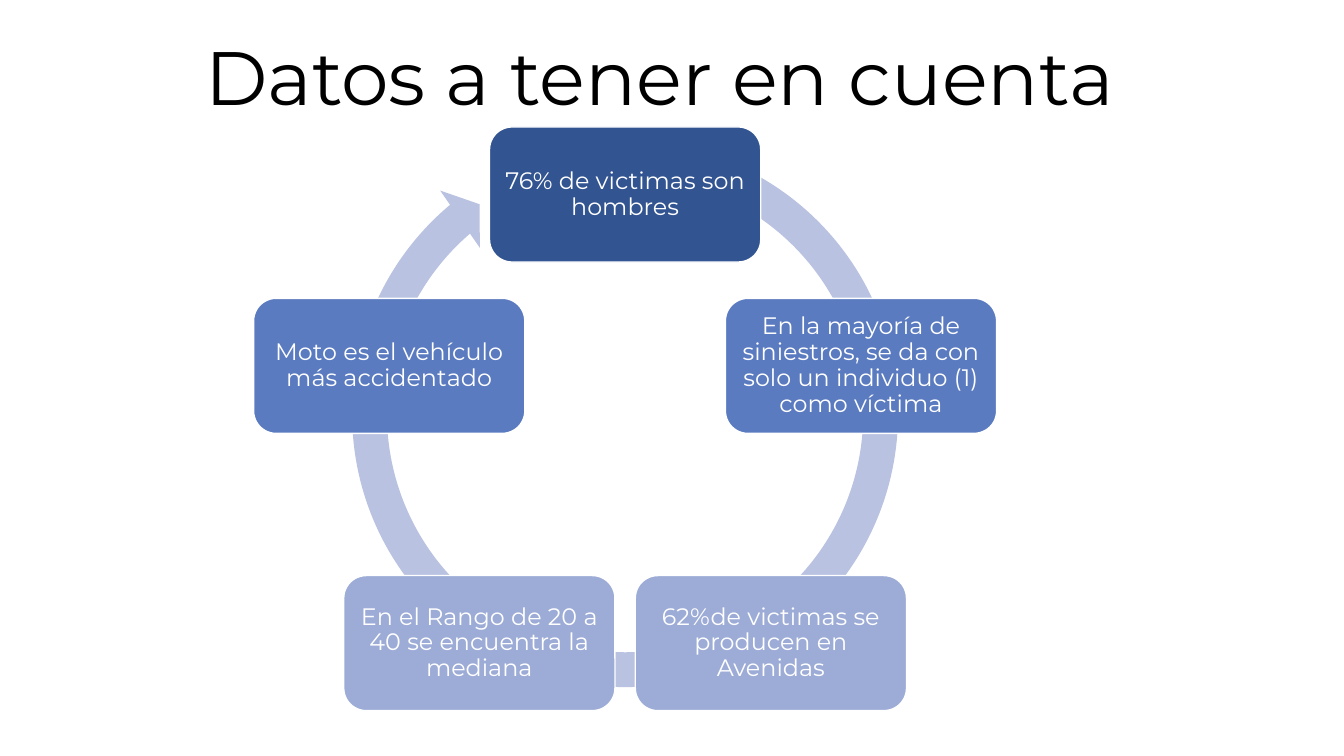
from math import cos, radians, sin

from pptx import Presentation
from pptx.dml.color import RGBColor
from pptx.enum.shapes import MSO_SHAPE as Shape
from pptx.enum.text import MSO_ANCHOR as Anchor, PP_ALIGN as Align
from pptx.util import Inches, Pt

TITLE = "Datos a tener en cuenta"
FACTS = [
    ("76% de victimas son hombres", "dark"),
    ("En la mayoría de siniestros, se da con solo un individuo (1) como víctima", "medium"),
    ("62%de victimas se producen en Avenidas", "light"),
    ("En el Rango de 20 a 40 se encuentra la mediana", "light"),
    ("Moto es el vehículo más accidentado", "medium"),
]
COLORS = {
    "dark": "325491",
    "medium": "5B7BC0",
    "light": "9DACD6",
    "arrow": "B9C2E1",
    "white": "FFFFFF",
    "black": "000000",
}
FONT = "Montserrat"
CENTER_X, CENTER_Y, RADIUS = 6.2, 4.39, 2.46
CARD_WIDTH, CARD_HEIGHT = 2.69, 1.34
ARROW_BOX = (3.32, 1.23, 5.76, 5.76)
ARROW_ADJUSTMENTS = (0.06, 3.31, 137.86, 173.8, 0.06)
TITLE_BOX = (1.88, 0.25, 9.33, 1.01)
CARD_FRAME = {
    "word_wrap": True,
    "vertical_anchor": Anchor.MIDDLE,
    "margin_left": Inches(0.07),
    "margin_right": Inches(0.07),
    "margin_top": Inches(0.07),
    "margin_bottom": Inches(0.07),
}


def color(name):
    return RGBColor.from_string(COLORS[name])


def set_all(target, values):
    for name, value in values.items():
        setattr(target, name, value)


def write(frame, text, size, color_name, spacing):
    paragraph = frame.paragraphs[0]
    set_all(paragraph, {"alignment": Align.CENTER, "line_spacing": spacing})
    run = paragraph.add_run()
    run.text = text
    set_all(run.font, {"name": FONT, "size": Pt(size)})
    run.font.color.rgb = color(color_name)


def add_filled(slide, kind, box, fill):
    shape = slide.shapes.add_shape(kind, *map(Inches, box))
    shape.shadow.inherit = False
    shape.fill.solid()
    shape.fill.fore_color.rgb = color(fill)
    return shape


def add_arrow(slide):
    arrow = add_filled(slide, Shape.CIRCULAR_ARROW, ARROW_BOX, "arrow")
    arrow.line.fill.background()
    for index, value in enumerate(ARROW_ADJUSTMENTS):
        arrow.adjustments[index] = value


def add_card(slide, index, text, fill):
    angle = radians(360 / len(FACTS) * index - 90)
    left = CENTER_X + RADIUS * cos(angle) - CARD_WIDTH / 2
    top = CENTER_Y + RADIUS * sin(angle) - CARD_HEIGHT / 2
    box = (left, top, CARD_WIDTH, CARD_HEIGHT)
    card = add_filled(slide, Shape.ROUNDED_RECTANGLE, box, fill)
    card.line.color.rgb = color("white")
    card.line.width = Pt(1)
    set_all(card.text_frame, CARD_FRAME)
    write(card.text_frame, text, 17, "white", 0.9)


def main():
    presentation = Presentation()
    set_all(presentation, {"slide_width": Inches(13.33), "slide_height": Inches(7.5)})
    slide = presentation.slides.add_slide(presentation.slide_layouts[6])
    add_arrow(slide)
    for index, (text, fill) in enumerate(FACTS):
        add_card(slide, index, text, fill)
    title = slide.shapes.add_textbox(*map(Inches, TITLE_BOX))
    title.text_frame.word_wrap = False
    write(title.text_frame, TITLE, 54, "black", 1.0)
    presentation.save("out.pptx")


if __name__ == "__main__":
    main()
